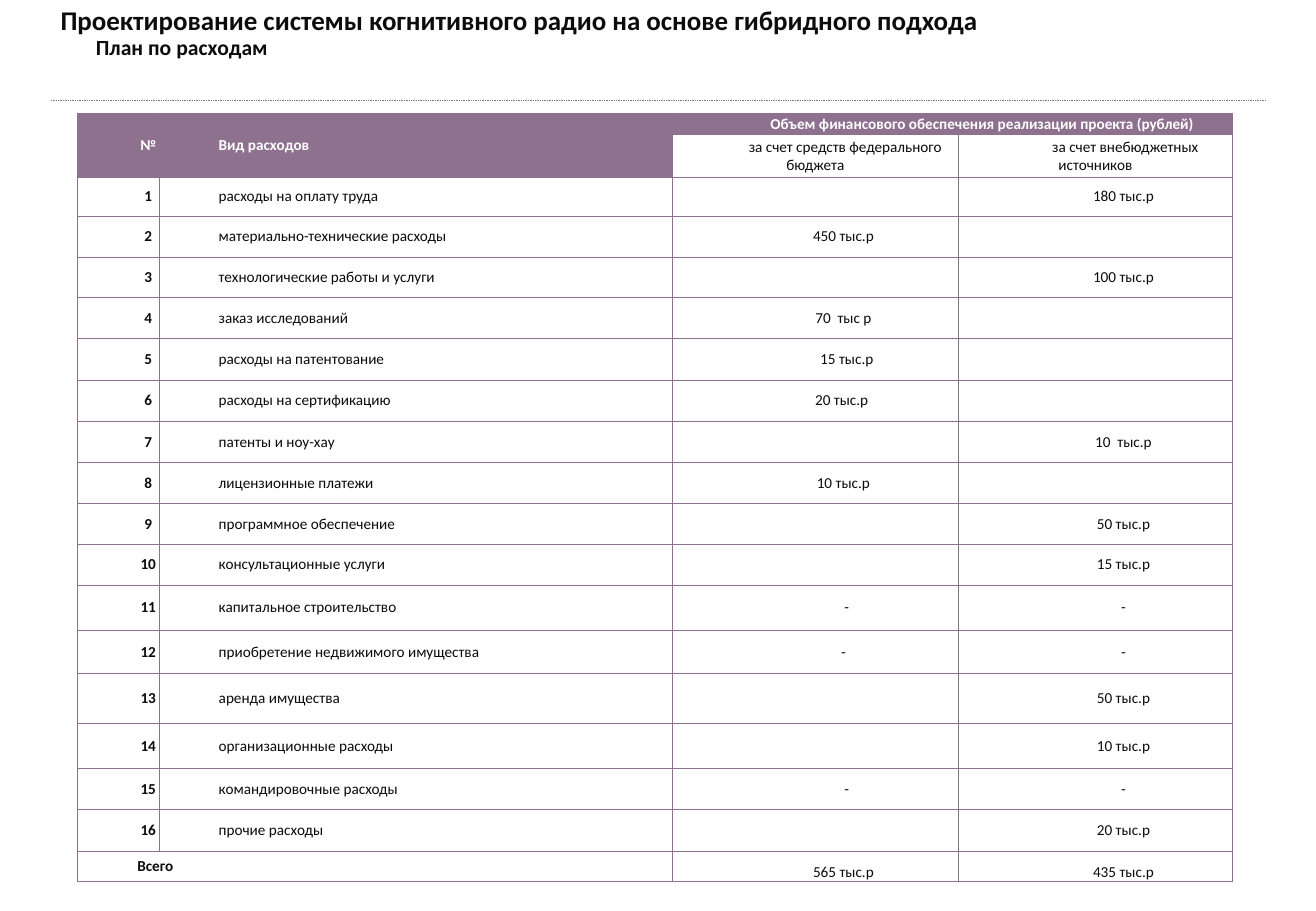
from lxml import etree
from pptx import Presentation
from pptx.dml.color import RGBColor
from pptx.enum.dml import MSO_LINE
from pptx.enum.shapes import MSO_CONNECTOR
from pptx.enum.text import MSO_ANCHOR, PP_ALIGN
from pptx.oxml import parse_xml
from pptx.oxml.ns import nsdecls, qn
from pptx.util import Inches, Pt

CENTER, LEFT = PP_ALIGN.CENTER, PP_ALIGN.LEFT
MIDDLE = MSO_ANCHOR.MIDDLE
DOTTED = MSO_LINE.ROUND_DOT
STRAIGHT = MSO_CONNECTOR.STRAIGHT
PURPLE, INK, WHITE = "8E708F", "0C0C0C", "FFFFFF"
NBSP = chr(160)


def rgb(value):
    return RGBColor.from_string(value)


def write(tf, text, size=9, color=INK, bold=False, align=LEFT, indent=0, spacing=None):
    """Put one formatted paragraph in a text frame; "~" stands for a hard space."""
    p = tf.paragraphs[0]
    p.alignment = align
    if indent:
        pPr = p._p.get_or_add_pPr()
        pPr.set("marL", "0")
        pPr.set("indent", str(Inches(indent)))
    if spacing:
        p.line_spacing = Pt(spacing)
    r = p.add_run()
    r.text = text.replace("~", NBSP)
    r.font.name = "Calibri"
    r.font.size = Pt(size)
    r.font.bold = bold
    r.font.color.rgb = rgb(color)


prs = Presentation()
prs.slide_width, prs.slide_height = Inches(10.83), Inches(7.5)
s = prs.slides.add_slide(prs.slide_layouts[6])

# Headings and the dotted rule
for text, size, box in [
    ("План по расходам", 12.8, (0.69, 0.23, 1.63, 0.32)),
    ("Проектирование системы когнитивного радио на основе гибридного подхода",
     16, (0.4, -0.02, 7.83, 0.37)),
]:
    tf = s.shapes.add_textbox(*map(Inches, box)).text_frame
    tf.word_wrap = False
    write(tf, text, size=size, bold=True)

rule = s.shapes.add_connector(STRAIGHT, *map(Inches, (0.42, 0.83, 10.42, 0.83)))
rule.line.color.rgb = rgb(PURPLE)
rule.line.width = Pt(0.5)
rule.line.dash_style = DOTTED
etree.SubElement(rule._element.spPr, qn("a:effectLst"))

# Expense table: kind, federal budget, other sources
expenses = [
    ("расходы на оплату труда", "", "180 тыс.р~"),
    ("материально-технические расходы", "450 тыс.р~", ""),
    ("технологические работы и услуги", "", "100 тыс.р~"),
    ("заказ исследований", "70  тыс р~", ""),
    ("расходы на патентование", "~15 тыс.р", ""),
    ("расходы на сертификацию", "20 тыс.р ~", ""),
    ("патенты и ноу-хау", "", "10  тыс.р~"),
    ("лицензионные платежи", "10 тыс.р~", ""),
    ("программное обеспечение", "", "50 тыс.р~"),
    ("консультационные услуги", "", "15 тыс.р~"),
    ("капитальное строительство", "~-", "-~"),
    ("приобретение недвижимого имущества", "-~", "-~"),
    ("аренда имущества", "", "50 тыс.р~"),
    ("организационные расходы", "", "10 тыс.р~"),
    ("командировочные расходы", "~-", "-~"),
    ("прочие расходы", "", "20 тыс.р~"),
]
rows = [
    ("№", "Вид расходов", "Объем финансового обеспечения реализации проекта (рублей)", ""),
    ("", "", "за счет средств федерального бюджета", "за счет внебюджетных источников"),
    *[(str(n), *expense) for n, expense in enumerate(expenses, 1)],
    ("Всего", "", "565 тыс.р~", "435 тыс.р~"),
]
col_widths = [0.67, 4.89 - 0.67, 2.36, 2.25]
row_heights = [0.18, 0.35, 0.32, 0.34, 0.33, 0.34, 0.34, 0.34, 0.34, 0.34,
               0.33, 0.34, 0.37, 0.36, 0.41, 0.37, 0.34, 0.34, 0.25]
last = len(rows) - 1

table = s.shapes.add_table(len(rows), len(col_widths), Inches(0.64), Inches(0.93),
                           Inches(sum(col_widths)), Inches(sum(row_heights))).table
table.first_row = table.horz_banding = False
for column, width in zip(table.columns, col_widths):
    column.width = Inches(width)
for row, height in zip(table.rows, row_heights):
    row.height = Inches(height)

for i, values in enumerate(rows):
    for j, text in enumerate(values):
        cell = table.cell(i, j)
        header = i == 0 or (i == 1 and j < 2)
        cell.vertical_anchor = MIDDLE
        cell.margin_left = cell.margin_right = cell.margin_top = cell.margin_bottom = 0
        tcPr = cell._tc.get_or_add_tcPr()
        for side in ("lnL", "lnR", "lnT", "lnB"):
            tcPr.append(parse_xml(
                f'<a:{side} {nsdecls("a")} w="{Pt(0.5)}"><a:solidFill>'
                f'<a:srgbClr val="{PURPLE}"/></a:solidFill></a:{side}>'))
        cell.fill.solid()
        cell.fill.fore_color.rgb = rgb(PURPLE if header else WHITE)
        if text:
            write(cell.text_frame, text, color=WHITE if header else INK,
                  bold=header or j == 0, indent=0.49,
                  align=LEFT if j == 1 or (i == last and j == 0) else CENTER,
                  spacing=18 if i == last and j > 1 else None)

for start, end in [((0, 0), (1, 0)), ((0, 1), (1, 1)), ((0, 2), (0, 3)), ((last, 0), (last, 1))]:
    table.cell(*start).merge(table.cell(*end))

prs.save("out.pptx")
